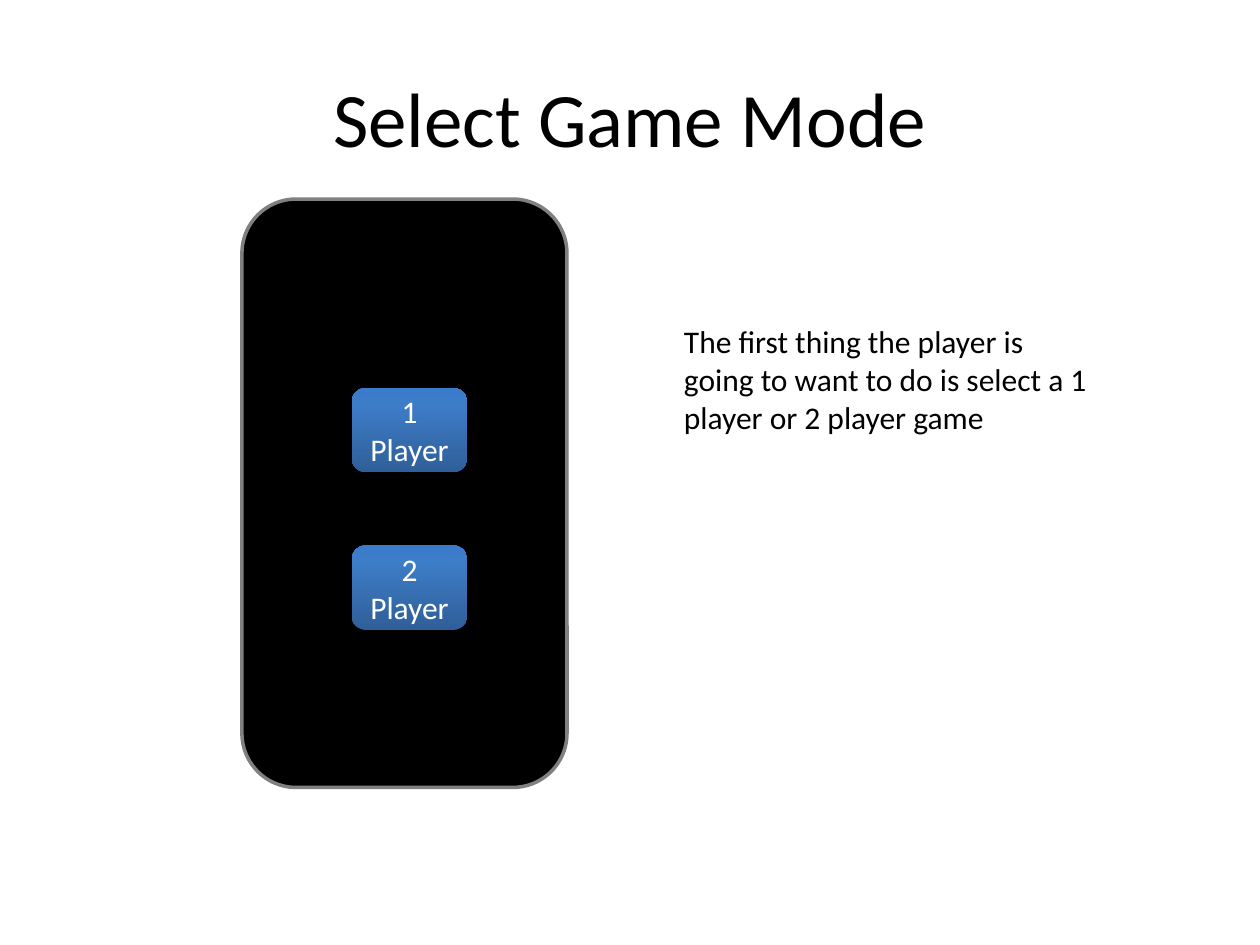
import pptx
import pptx.dml.color
import pptx.enum.shapes
import pptx.enum.text
import pptx.oxml
import pptx.oxml.ns
import pptx.util

Inches = pptx.util.Inches
Pt = pptx.util.Pt
ALIGN = pptx.enum.text.PP_ALIGN
ANCHOR = pptx.enum.text.MSO_ANCHOR
STOPS = [(0, "2F5F99"), (80, "3D7CC7"), (100, "3A7CCB")]


def color(code):
    return pptx.dml.color.RGBColor.from_string(code)


def write(shape, text, size, code, align, anchor):
    frame = shape.text_frame
    frame.word_wrap = True
    frame.vertical_anchor = anchor
    para = frame.paragraphs[0]
    para.text = text
    para.alignment = align
    para.font.name = "Calibri"
    para.font.size = Pt(size)
    para.font.color.rgb = color(code)


def place(shape, left, top, width, height):
    shape.left, shape.top = Inches(left), Inches(top)
    shape.width, shape.height = Inches(width), Inches(height)


def add_round(slide, left, top, width, height):
    shape = slide.shapes.add_shape(
        pptx.enum.shapes.MSO_SHAPE.ROUNDED_RECTANGLE,
        Inches(left), Inches(top), Inches(width), Inches(height))
    shape.shadow.inherit = False
    return shape


def add_phone(slide):
    phone = add_round(slide, 1.92, 1.58, 2.58, 4.67)
    phone.fill.solid()
    phone.fill.fore_color.rgb = color("000000")
    phone.line.color.rgb = color("808080")
    phone.line.width = Pt(2)


def shade(shape):
    """Give a bottom-to-top gradient of three stops and a soft shadow."""
    shape.fill.gradient()
    shape.fill.gradient_angle = 90
    names = pptx.oxml.ns.nsdecls("a")
    props = shape.element.spPr
    stops = props.find(".//" + pptx.oxml.ns.qn("a:gsLst"))
    for stop in list(stops):
        stops.remove(stop)
    for pos, code in STOPS:
        stops.append(pptx.oxml.parse_xml(
            f'<a:gs {names} pos="{pos * 1000}"><a:srgbClr val="{code}"/></a:gs>'))
    effects = props.find(pptx.oxml.ns.qn("a:effectLst"))
    effects.append(pptx.oxml.parse_xml(
        f'<a:outerShdw {names} blurRad="{Pt(3.1)}" dist="{Pt(1.8)}" '
        'dir="5400000" rotWithShape="0"><a:srgbClr val="000000">'
        '<a:alpha val="35000"/></a:srgbClr></a:outerShdw>'))


def add_button(slide, top, text):
    button = add_round(slide, 2.79, top, 0.92, 0.67)
    shade(button)
    button.line.fill.background()
    write(button, text, 18, "FFFFFF", ALIGN.CENTER, ANCHOR.MIDDLE)


def add_note(slide, text):
    note = slide.shapes.add_textbox(
        Inches(5.33), Inches(2.51), Inches(3.5), Inches(1.01))
    write(note, text, 18, "000000", ALIGN.LEFT, ANCHOR.TOP)
    note.text_frame.auto_size = pptx.enum.text.MSO_AUTO_SIZE.SHAPE_TO_FIT_TEXT


def main():
    deck = pptx.Presentation()
    deck.slide_width, deck.slide_height = Inches(10), Inches(7.5)
    slide = deck.slides.add_slide(deck.slide_layouts[5])
    title = slide.shapes.title
    place(title, 0.5, 0.3, 9, 1.25)
    write(title, "Select Game Mode", 44, "000000", ALIGN.CENTER, ANCHOR.MIDDLE)
    add_phone(slide)
    for index, text in enumerate(["1 Player", "2 Player"]):
        add_button(slide, 3.08 + 1.25 * index, text)
    add_note(slide, "The first thing the player is going to want to do "
                    "is select a 1 player or 2 player game")
    deck.save("out.pptx")


if __name__ == "__main__":
    main()
